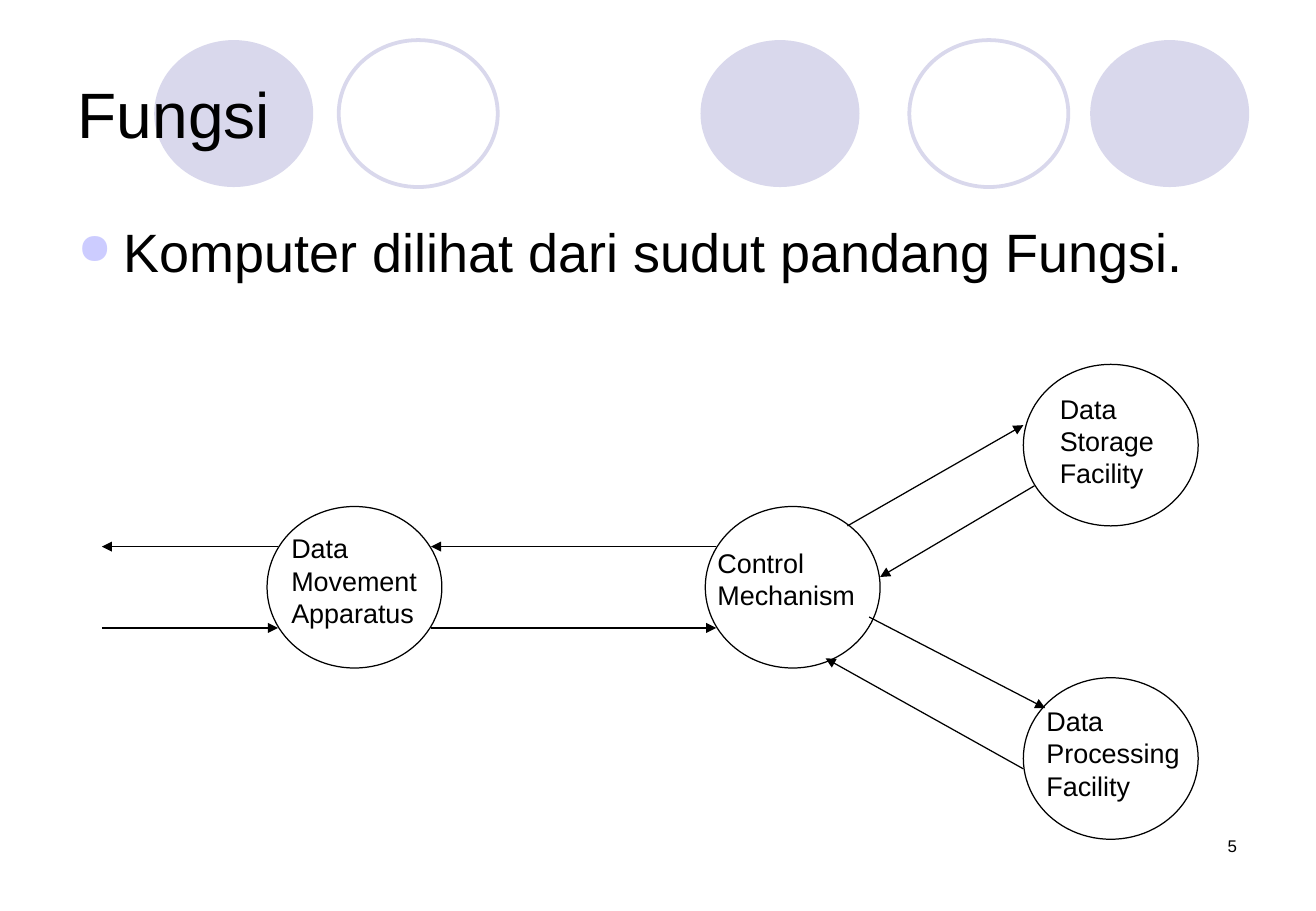
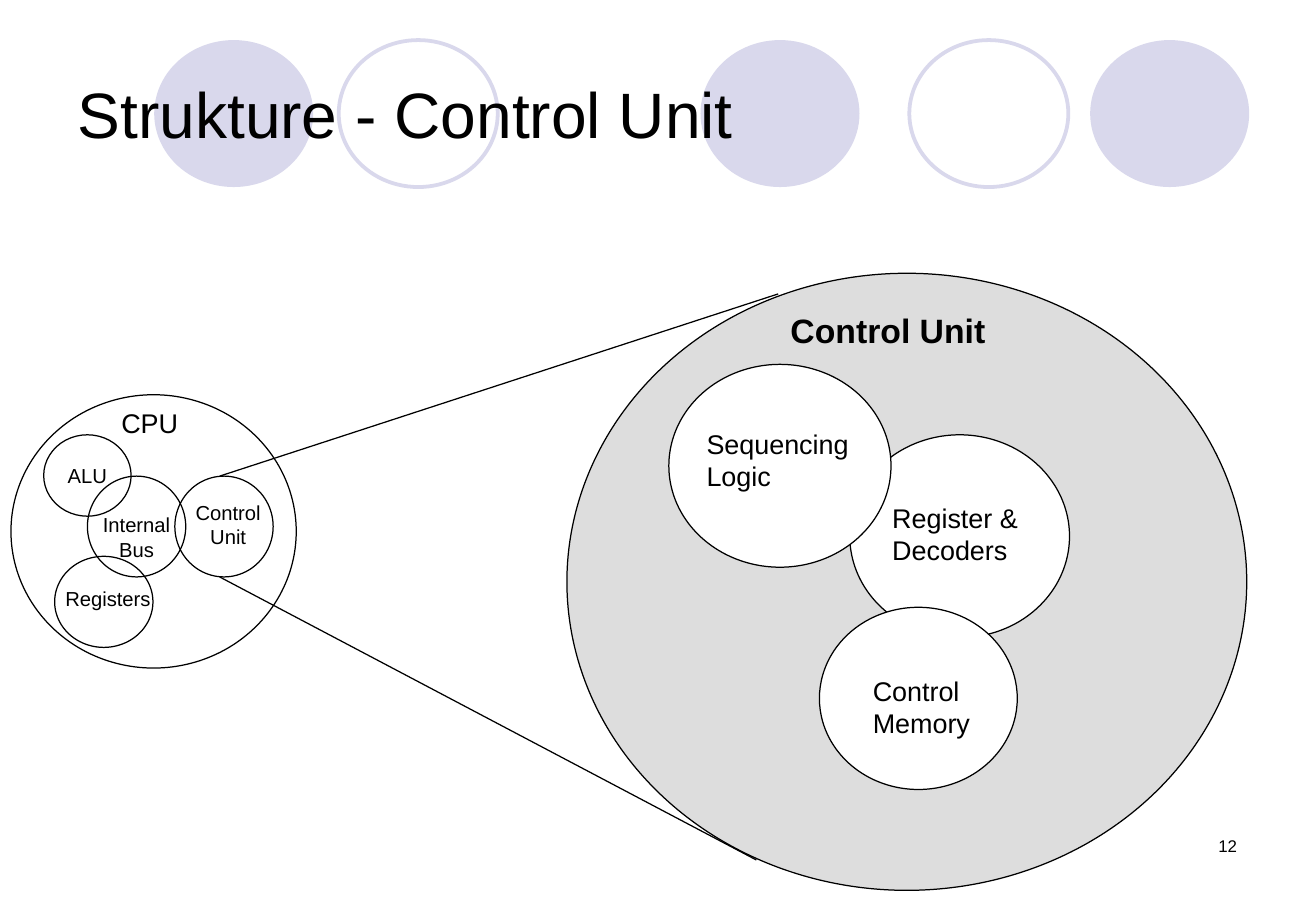
from lxml import etree
from pptx import Presentation
from pptx.dml.color import RGBColor
from pptx.enum import shapes, text
from pptx.oxml import ns
from pptx.util import Pt

PX = 9144  # 100 px to the inch
LILAC = RGBColor(0xD9, 0xD8, 0xEC)
BLACK = RGBColor(0, 0, 0)
WHITE = RGBColor(255, 255, 255)
GREY = RGBColor(0xDD, 0xDD, 0xDD)
LEFT, CENTER, RIGHT = text.PP_ALIGN.LEFT, text.PP_ALIGN.CENTER, text.PP_ALIGN.RIGHT
TOP, MIDDLE = text.MSO_ANCHOR.TOP, text.MSO_ANCHOR.MIDDLE


def add_oval(slide, box, fill=None, line=BLACK, weight=0.75):
    oval = slide.shapes.add_shape(shapes.MSO_SHAPE.OVAL, *[n * PX for n in box])
    oval.shadow.inherit = False
    if fill is None:
        oval.fill.background()
    else:
        oval.fill.solid()
        oval.fill.fore_color.rgb = fill
    if line is None:
        oval.line.fill.background()
    else:
        oval.line.color.rgb = line
        oval.line.width = Pt(weight)
    return oval


def write(slide, box, words, size, align=LEFT, anchor=TOP, bold=False):
    """Add a text box without side margins and return its text frame."""
    frame = slide.shapes.add_textbox(*[n * PX for n in box]).text_frame
    frame.word_wrap = True
    frame.margin_left = frame.margin_right = 0
    frame.vertical_anchor = anchor
    frame.text = words
    for paragraph in frame.paragraphs:
        paragraph.alignment = align
        for run in paragraph.runs:
            run.font.name = "Arial"
            run.font.size = Pt(size)
            run.font.bold = bold
            run.font.color.rgb = BLACK
    return frame


deck = Presentation()
deck.slide_width, deck.slide_height = 1084 * PX, 750 * PX

# Shared header and page number
pages = []
for title, number in (("Fungsi", "5"), ("Strukture - Control Unit", "12")):
    slide = deck.slides.add_slide(deck.slide_layouts[6])
    for left in (127, 577, 898):
        add_oval(slide, (left, 33, 131, 121), fill=LILAC, line=None)
    for left in (279, 749):
        add_oval(slide, (left, 33, 131, 121), line=LILAC, weight=2.25)
    pages.append((slide, title, number))
function_slide, structure_slide = [page[0] for page in pages]

# Function: four nodes joined by pairs of arrows
body = write(function_slide, (64, 175, 955, 84),
             "Komputer dilihat dari sudut pandang Fungsi.", 32)
bullet = body.paragraphs[0]._p.get_or_add_pPr()
bullet.set("marL", str(38 * PX))
bullet.set("indent", str(-38 * PX))
bullet_color = etree.SubElement(bullet, ns.qn("a:buClr"))
etree.SubElement(bullet_color, ns.qn("a:srgbClr")).set("val", "CCCCFF")
etree.SubElement(bullet, ns.qn("a:buSzPct")).set("val", "80000")
etree.SubElement(bullet, ns.qn("a:buChar")).set("char", "●")

for left, top in ((220, 417), (581, 417), (843, 300), (843, 558)):
    add_oval(function_slide, (left, top, 144, 133))
function_labels = (
    (240, 433, "Data\nMovement\nApparatus"),
    (591, 445, "Control\nMechanism"),
    (873, 318, "Data\nStorage\nFacility"),
    (862, 575, "Data\nProcessing\nFacility"),
)
arrows = (
    (229, 450, 84, 450), (84, 517, 229, 517),
    (355, 517, 590, 517), (590, 450, 355, 450),
    (698, 433, 843, 350), (852, 400, 725, 475),
    (716, 508, 861, 583), (843, 633, 680, 542),
)

# Structure: the CPU and its enlarged control unit
add_oval(structure_slide, (467, 225, 560, 508), GREY)
for box in ((700, 358, 181, 167), (551, 300, 183, 167), (675, 500, 163, 150)):
    add_oval(structure_slide, box, WHITE)
for box in ((9, 325, 235, 225), (144, 392, 81, 83), (36, 358, 72, 67),
            (45, 458, 81, 75), (72, 392, 81, 83)):
    add_oval(structure_slide, box)
structure_labels = (
    (100, 330, "CPU"),
    (719, 550, "Control\nMemory"),
    (582, 347, "Sequencing\nLogic"),
    (735, 408, "Register &\nDecoders"),
)
for box, words in (((151, 407, 74, 50), "Control\nUnit"),
                   ((36, 358, 72, 67), "ALU"),
                   ((44, 478, 90, 30), "Registers"),
                   ((75, 417, 75, 50), "Internal\nBus")):
    write(structure_slide, box, words, 12, CENTER, MIDDLE)
write(structure_slide, (641, 250, 181, 44), "Control Unit", 20, CENTER, MIDDLE, bold=True)
zoom_lines = ((181, 392, 641, 242), (181, 475, 623, 708))

for slide, labels, lines, arrowhead in (
        (function_slide, function_labels, arrows, True),
        (structure_slide, structure_labels, zoom_lines, False)):
    for ends in lines:
        link = slide.shapes.add_connector(shapes.MSO_CONNECTOR.STRAIGHT,
                                          *[n * PX for n in ends])
        link.line.color.rgb = BLACK
        link.line.width = Pt(0.75)
        if arrowhead:
            tail = etree.SubElement(link.line._get_or_add_ln(), ns.qn("a:tailEnd"))
            tail.set("type", "triangle")
        etree.SubElement(link._element.spPr, ns.qn("a:effectLst"))
    for left, top, words in labels:
        write(slide, (left, top, 130, 26 * len(words.split("\n")) + 10), words, 16)

for slide, title, number in pages:
    write(slide, (64, 30, 955, 125), title, 38, anchor=MIDDLE)
    write(slide, (786, 683, 233, 50), number, 10, RIGHT)

deck.save("out.pptx")
